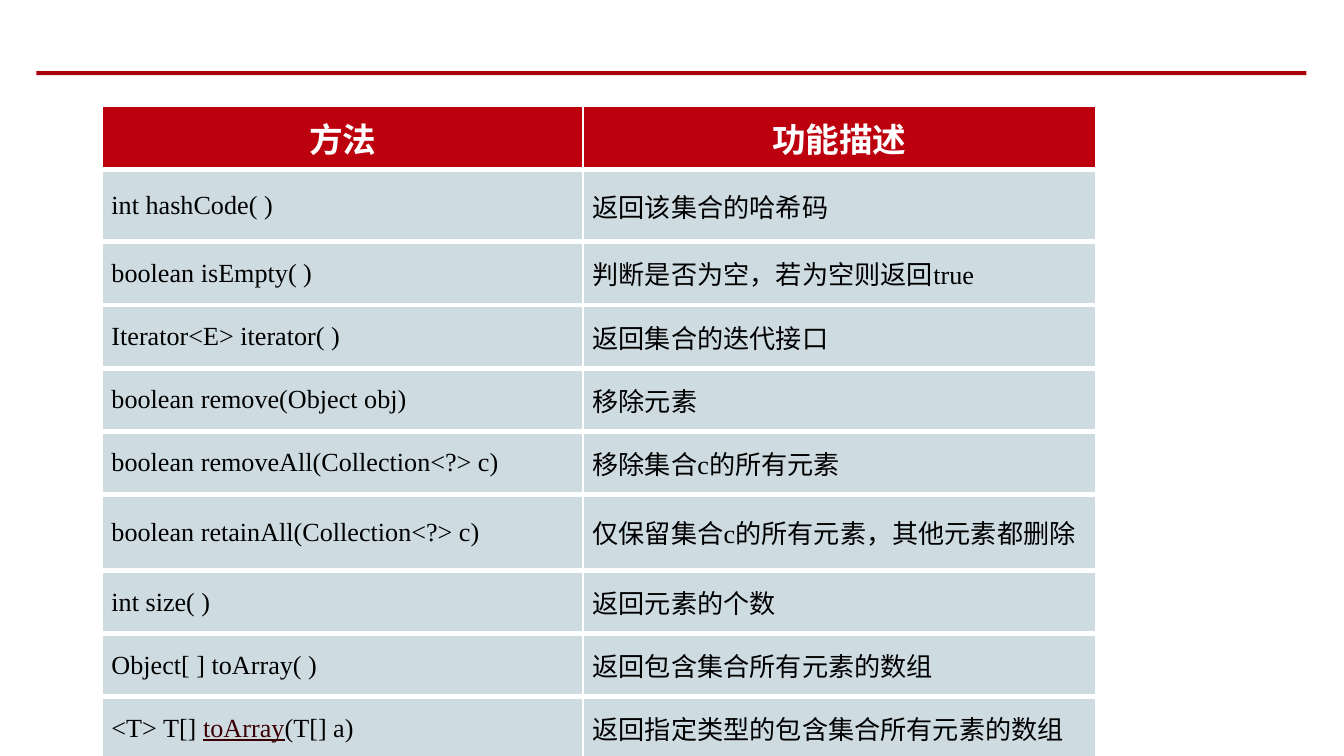
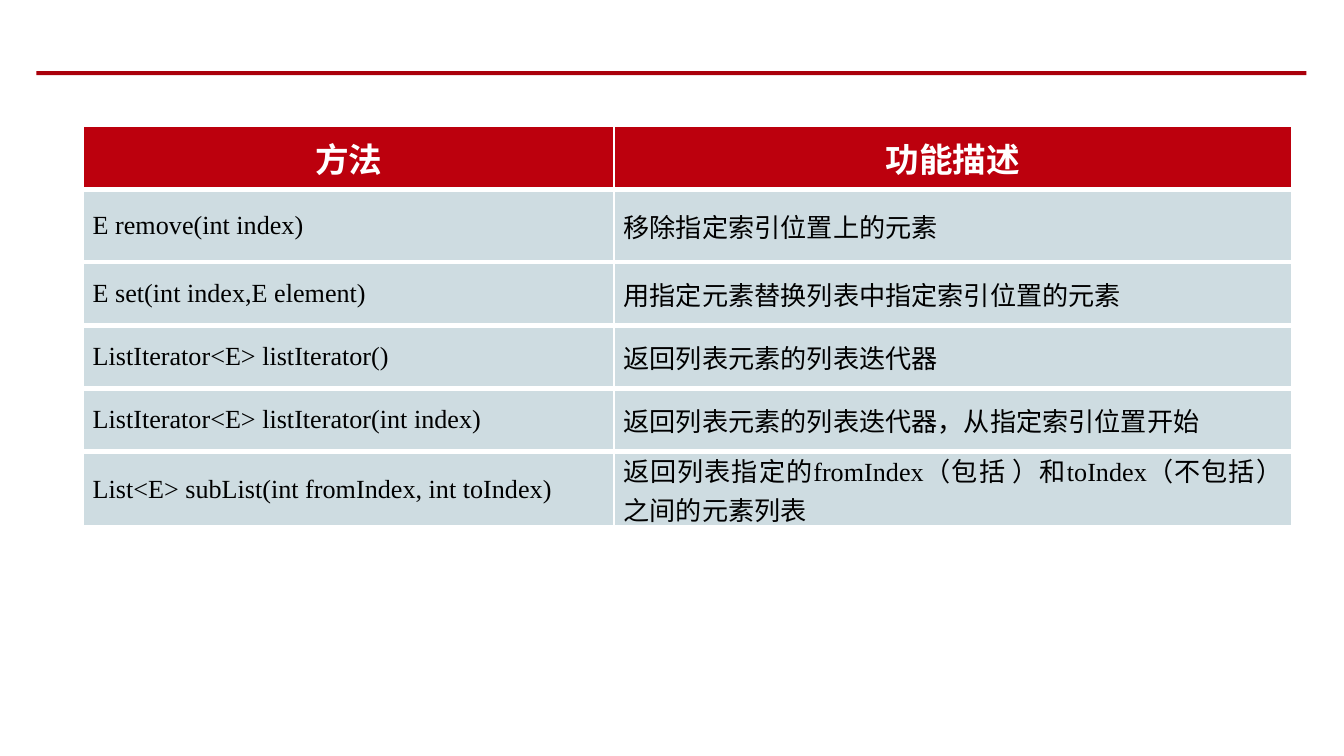
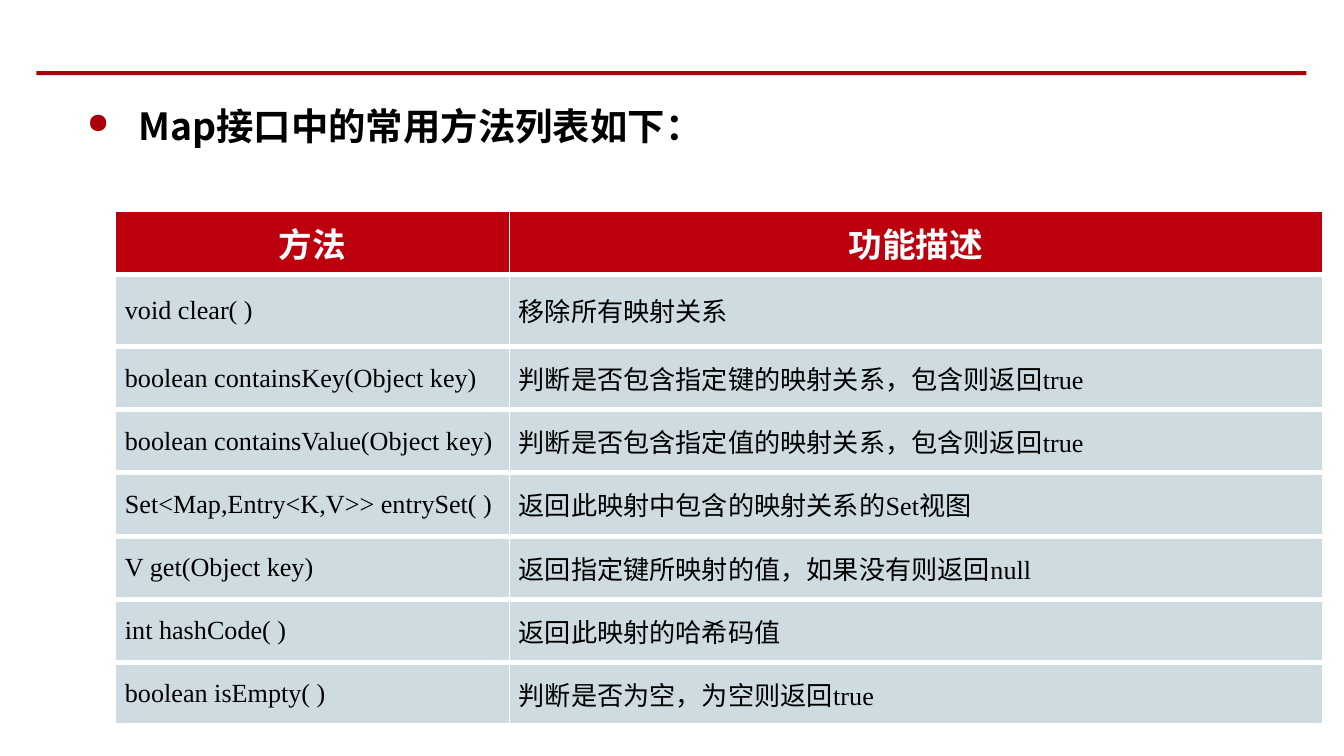
"""Build three slides that list the methods of the Java collection interfaces."""
from lxml.etree import SubElement
from pptx import Presentation
from pptx.dml.color import RGBColor
from pptx.enum.shapes import MSO_SHAPE
from pptx.enum.text import MSO_ANCHOR, PP_ALIGN
from pptx.oxml.ns import qn
from pptx.util import Inches, Pt

HUES = {
    "rule": "AA000B", "head": "BC000D", "body": "CEDCE1",
    "white": "FFFFFF", "black": "000000", "link": "3A0004",
}
LATIN = "Times New Roman"
HAN = "Noto Sans CJK SC"
HEADS = ("方法", "功能描述")


def hue(name):
    return RGBColor.from_string(HUES[name])


class Deck:
    def __init__(self):
        self.prs = Presentation()
        self.prs.slide_width = Inches(10)
        self.prs.slide_height = Inches(10) * 9 // 16
        self.slide = None

    def page(self):
        self.slide = self.prs.slides.add_slide(self.prs.slide_layouts[6])
        rule = self.slide.shapes.add_shape(
            MSO_SHAPE.RECTANGLE, Inches(0.27), Inches(0.53), Inches(9.45), Inches(0.03))
        rule.shadow.inherit = False
        rule.fill.solid()
        rule.fill.fore_color.rgb = hue("rule")
        rule.line.fill.background()

    def style(self, para, size, color, bold, latin):
        font = para.font
        font.size, font.bold, font.name = Pt(size), bold, latin
        font.color.rgb = hue(color)
        props = para._p.get_or_add_pPr().find(qn("a:defRPr"))
        SubElement(props, qn("a:ea"), typeface=HAN)

    def point(self, text, left, top, width, height):
        box = self.slide.shapes.add_textbox(
            Inches(left), Inches(top), Inches(width), Inches(height))
        box.text_frame.word_wrap = True
        para = box.text_frame.paragraphs[0]
        para.text = text
        para.line_spacing = 1.5
        props = para._p.get_or_add_pPr()
        props.set("marL", str(Inches(0.38)))
        props.set("indent", str(-Inches(0.38)))
        tint = SubElement(props, qn("a:buClr"))
        SubElement(tint, qn("a:srgbClr"), val=HUES["rule"])
        SubElement(props, qn("a:buSzPct"), val="75000")
        SubElement(props, qn("a:buChar"), char="●")
        self.style(para, 20, "black", True, HAN)

    def edges(self, cell, top):
        props = cell._tc.get_or_add_tcPr()
        for side, width in (("L", 1), ("R", 1), ("T", top), ("B", 3)):
            line = SubElement(props, qn(f"a:ln{side}"), w=str(Pt(width)))
            fill = SubElement(line, qn("a:solidFill"))
            SubElement(fill, qn("a:srgbClr"), val=HUES["white"])

    def cell(self, cell, text, head):
        self.edges(cell, 1 if head else 3)
        cell.fill.solid()
        cell.fill.fore_color.rgb = hue("head" if head else "body")
        cell.vertical_anchor = MSO_ANCHOR.MIDDLE
        cell.margin_left = cell.margin_right = Inches(0.07)
        cell.margin_top = cell.margin_bottom = 0
        para = cell.text_frame.paragraphs[0]
        para.alignment = PP_ALIGN.CENTER if head else PP_ALIGN.JUSTIFY
        self.style(para, 18 if head else 14, "white" if head else "black", head, LATIN)
        parts = (text,) if isinstance(text, str) else text
        for spot, part in enumerate(parts):
            run = para.add_run()
            run.text = part
            if spot == 1:
                run.font.underline = True
                run.font.color.rgb = hue("link")

    def table(self, left, top, cols, rows):
        rows = [HEADS, *rows]
        highs = [0.47, 0.54] + [0.47] * (len(rows) - 2)
        grid = self.slide.shapes.add_table(
            len(rows), len(cols), Inches(left), Inches(top),
            Inches(sum(cols)), Inches(sum(highs))).table
        grid.horz_banding = False
        for col, width in zip(grid.columns, cols):
            col.width = Inches(width)
        for index, (row, high, texts) in enumerate(zip(grid.rows, highs, rows)):
            row.height = Inches(high)
            for cell, text in zip(row.cells, texts):
                self.cell(cell, text, index == 0)


def main():
    deck = Deck()

    deck.page()
    deck.table(0.76, 0.79, (3.58, 3.81), [
        ("int hashCode( )", "返回该集合的哈希码"),
        ("boolean isEmpty( )", "判断是否为空，若为空则返回true"),
        ("Iterator<E> iterator( )", "返回集合的迭代接口"),
        ("boolean remove(Object obj)", "移除元素"),
        ("boolean removeAll(Collection<?> c)", "移除集合c的所有元素"),
        ("boolean retainAll(Collection<?> c)", "仅保留集合c的所有元素，其他元素都删除"),
        ("int size( )", "返回元素的个数"),
        ("Object[ ] toArray( )", "返回包含集合所有元素的数组"),
        (("<T> T[] ", "toArray", "(T[] a)"), "返回指定类型的包含集合所有元素的数组"),
    ])

    deck.page()
    deck.table(0.62, 0.94, (3.95, 5.04), [
        ("E remove(int index)", "移除指定索引位置上的元素"),
        ("E set(int index,E element)", "用指定元素替换列表中指定索引位置的元素"),
        ("ListIterator<E> listIterator()", "返回列表元素的列表迭代器"),
        ("ListIterator<E> listIterator(int index)",
         "返回列表元素的列表迭代器，从指定索引位置开始"),
        ("List<E> subList(int fromIndex, int toIndex)",
         "返回列表指定的fromIndex（包括 ）和toIndex（不包括）之间的元素列表"),
    ])

    deck.page()
    deck.point("Map接口中的常用方法列表如下：", 0.55, 0.55, 8.98, 3.36)
    deck.table(0.86, 1.57, (2.93, 6.05), [
        ("void clear( )", "移除所有映射关系"),
        ("boolean containsKey(Object key)", "判断是否包含指定键的映射关系，包含则返回true"),
        ("boolean containsValue(Object key)", "判断是否包含指定值的映射关系，包含则返回true"),
        ("Set<Map,Entry<K,V>> entrySet( )", "返回此映射中包含的映射关系的Set视图"),
        ("V get(Object key)", "返回指定键所映射的值，如果没有则返回null"),
        ("int hashCode( )", "返回此映射的哈希码值"),
        ("boolean isEmpty( )", "判断是否为空，为空则返回true"),
    ])

    deck.prs.save("out.pptx")


if __name__ == "__main__":
    main()
